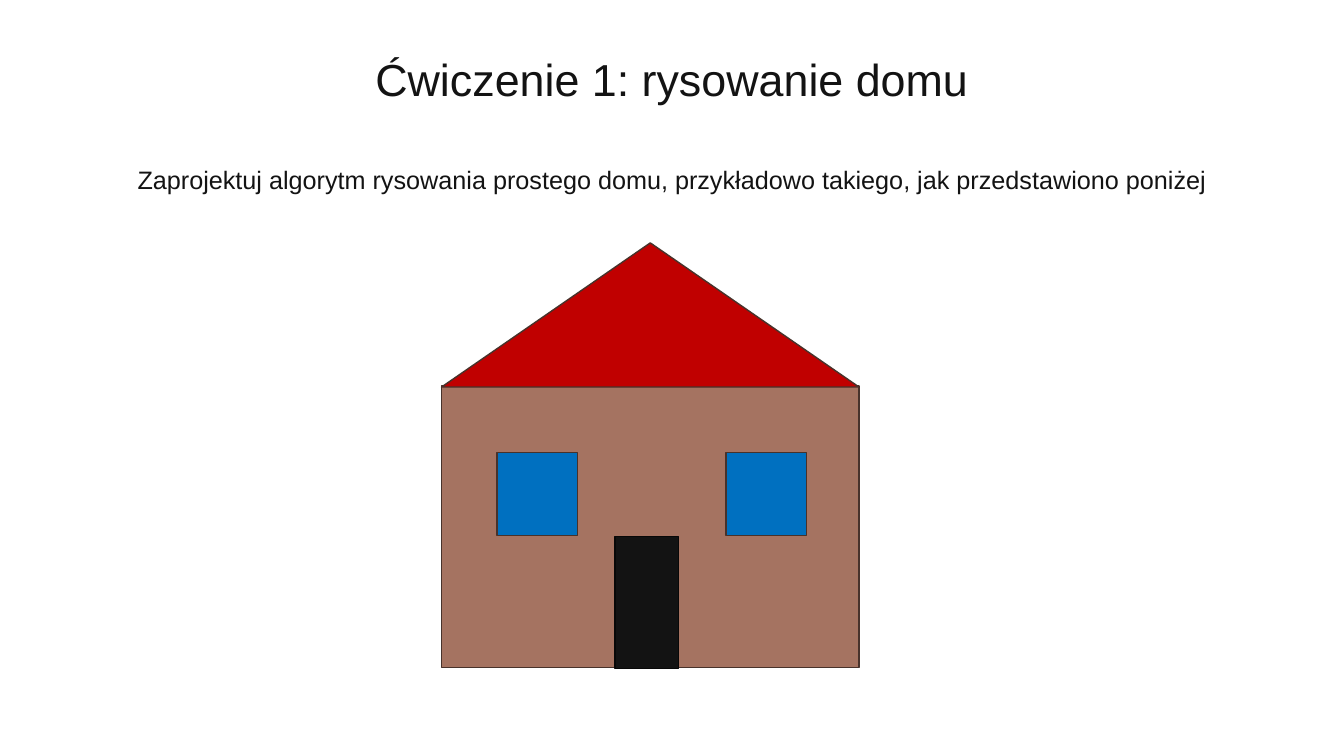
"""Build the house drawing exercise slide."""
from dataclasses import dataclass

from pptx import Presentation
from pptx.dml.color import RGBColor
from pptx.enum.shapes import MSO_SHAPE as Shape
from pptx.enum.text import MSO_ANCHOR as Anchor, PP_ALIGN as Align
from pptx.util import Inches, Pt


@dataclass(frozen=True)
class Theme:
    font: str = "Arial"
    text: str = "131313"
    wall: str = "A57361"
    roof: str = "C00000"
    window: str = "0070C0"
    door: str = "131313"
    outline: str = "48322B"
    door_outline: str = "080808"
    title_size: int = 32
    body_size: int = 18
    line_width: int = 1


THEME = Theme()
TITLE = "Ćwiczenie 1: rysowanie domu"
TASK = "Zaprojektuj algorytm rysowania prostego domu, przykładowo takiego, jak przedstawiono poniżej"

TEXT_LEFT, TEXT_WIDTH = 0.84, 11.65
HOUSE_LEFT, HOUSE_WIDTH = 4.38, 4.14
WALL_TOP, WALL_HEIGHT = 3.83, 2.79
ROOF_TOP, ROOF_HEIGHT = 2.41, 1.43
WINDOW_LEFTS, WINDOW_TOP, WINDOW_SIZE = (4.93, 7.2), 4.49, (0.8, 0.82)
DOOR = (6.1, 5.32, 0.63, 1.31)

HOUSE_PARTS = [
    (Shape.RECTANGLE, (HOUSE_LEFT, WALL_TOP, HOUSE_WIDTH, WALL_HEIGHT), THEME.wall, THEME.outline),
    (Shape.ISOSCELES_TRIANGLE, (HOUSE_LEFT, ROOF_TOP, HOUSE_WIDTH, ROOF_HEIGHT), THEME.roof, THEME.outline),
    *[(Shape.RECTANGLE, (left, WINDOW_TOP, *WINDOW_SIZE), THEME.window, THEME.outline)
      for left in WINDOW_LEFTS],
    (Shape.RECTANGLE, DOOR, THEME.door, THEME.door_outline),
]


def add_text(slide, text, *, top, height, size, line_spacing, anchor=Anchor.TOP):
    box = slide.shapes.add_textbox(*map(Inches, (TEXT_LEFT, top, TEXT_WIDTH, height)))
    frame = box.text_frame
    frame.word_wrap = True
    frame.vertical_anchor = anchor
    paragraph = frame.paragraphs[0]
    paragraph.text = text
    paragraph.alignment = Align.CENTER
    paragraph.line_spacing = line_spacing
    paragraph.font.name = THEME.font
    paragraph.font.size = Pt(size)
    paragraph.font.color.rgb = RGBColor.from_string(THEME.text)


def add_part(slide, kind, bounds, fill, outline):
    shape = slide.shapes.add_shape(kind, *map(Inches, bounds))
    shape.shadow.inherit = False
    shape.fill.solid()
    shape.fill.fore_color.rgb = RGBColor.from_string(fill)
    shape.line.color.rgb = RGBColor.from_string(outline)
    shape.line.width = Pt(THEME.line_width)


def main():
    presentation = Presentation()
    presentation.slide_width = Inches(13.33)
    presentation.slide_height = Inches(7.5)
    slide = presentation.slides.add_slide(presentation.slide_layouts[6])
    add_text(slide, TITLE, top=0.28, height=1.06, size=THEME.title_size,
             line_spacing=0.9, anchor=Anchor.MIDDLE)
    add_text(slide, TASK, top=1.52, height=5.36, size=THEME.body_size, line_spacing=1.2)
    for part in HOUSE_PARTS:
        add_part(slide, *part)
    presentation.save("out.pptx")


if __name__ == "__main__":
    main()
